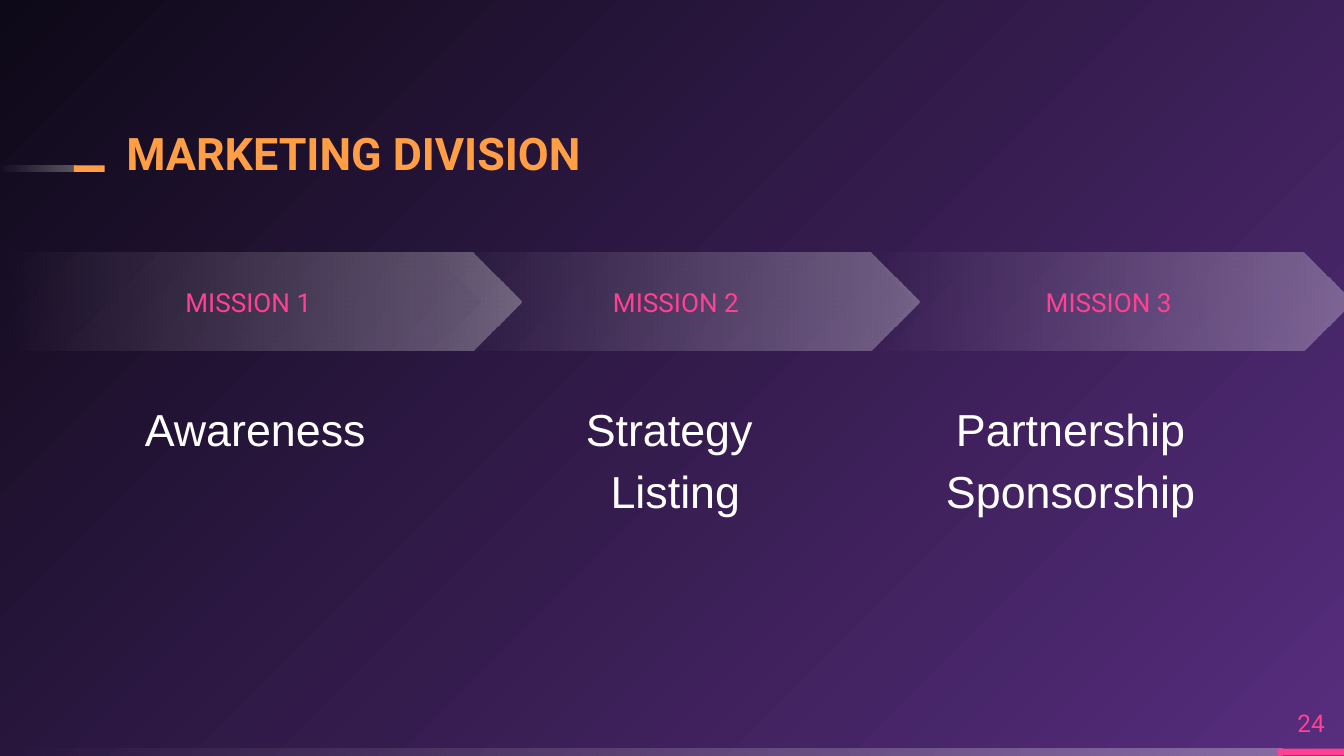
import pptx
import pptx.util
import pptx.dml.color
import pptx.enum.shapes
import pptx.enum.text
import pptx.oxml
import pptx.oxml.ns
from dataclasses import dataclass

Inches = pptx.util.Inches
Kind = pptx.enum.shapes.MSO_SHAPE
Anchor = pptx.enum.text.MSO_ANCHOR
Align = pptx.enum.text.PP_ALIGN


@dataclass
class Theme:
    gold: str = "FF9E44"
    pink: str = "FF4093"
    white: str = "FFFFFF"
    plum: str = "572D7E"
    night: str = "0E0918"
    head: str = "Roboto"
    body: str = "Arial"
    large: int = 24
    label: int = 14
    small: int = 13


theme = Theme()
FADE = [(0, theme.white, 30), (100, theme.white, 0)]
GLOW = [(0, theme.plum, 100), (100, theme.night, 100)]
LEFT = '<a:lin ang="10800000" scaled="0"/>'
CORNER = '<a:path path="circle"><a:fillToRect l="100000" t="100000"/></a:path>'


def blend(fill, root, stops, way):
    fill.gradient()
    old = root.xpath(".//a:gradFill")[0]
    marks = "".join(
        f'<a:gs pos="{pos * 1000}"><a:srgbClr val="{color}">'
        f'<a:alpha val="{alpha * 1000}"/></a:srgbClr></a:gs>'
        for pos, color, alpha in stops)
    new = pptx.oxml.parse_xml(
        f'<a:gradFill {pptx.oxml.ns.nsdecls("a")} rotWithShape="1">'
        f'<a:gsLst>{marks}</a:gsLst>{way}</a:gradFill>')
    old.getparent().replace(old, new)


def write(shape, lines, font, size, color, anchor, inset=0.1, align=Align.CENTER,
          space=1.0, bold=False):
    frame = shape.text_frame
    frame.word_wrap = True
    frame.auto_size = pptx.enum.text.MSO_AUTO_SIZE.NONE
    frame.vertical_anchor = anchor
    frame.margin_left = frame.margin_right = Inches(inset)
    frame.margin_top = frame.margin_bottom = Inches(inset)
    frame.text = "\n".join(lines)
    for para in frame.paragraphs:
        para.alignment = align
        para.line_spacing = space
        para.font.name = font
        para.font.size = pptx.util.Pt(size)
        para.font.bold = bold
        para.font.color.rgb = pptx.dml.color.RGBColor.from_string(color)


deck = pptx.Presentation()
deck.slide_width = Inches(10)
deck.slide_height = Inches(10) * 9 // 16
slide = deck.slides.add_slide(deck.slide_layouts[5])
shapes = slide.shapes
blend(slide.background.fill, slide._element, GLOW, CORNER)

bars = [
    (0, 5.57, 9.54, None),
    (9.51, 5.57, 0.49, theme.pink),
    (0, 1.23, 0.56, None),
    (0.55, 1.23, 0.23, theme.gold),
]
for left, top, width, color in bars:
    bar = shapes.add_shape(Kind.RECTANGLE, Inches(left), Inches(top),
                           Inches(width), Inches(0.05))
    bar.shadow.inherit = False
    bar.line.fill.background()
    if color:
        bar.fill.solid()
        bar.fill.fore_color.rgb = pptx.dml.color.RGBColor.from_string(color)
    else:
        blend(bar.fill, bar._element, FADE, LEFT)

title = shapes.title
title.left, title.top = Inches(0.94), Inches(0.91)
title.width, title.height = Inches(5.8), Inches(0.43)
write(title, ["MARKETING DIVISION"], theme.head, theme.large, theme.gold,
      Anchor.BOTTOM, inset=0, align=Align.LEFT, space=0.9, bold=True)

number = shapes.add_textbox(Inches(9.51), Inches(5.19), Inches(0.49), Inches(0.38))
write(number, ["24"], theme.head, theme.small, theme.pink, Anchor.MIDDLE, inset=0)

steps = [
    ("MISSION 3", Kind.CHEVRON, 6.44, 3.62, 6.74, ["Partnership Sponsorship"]),
    ("MISSION 1", Kind.PENTAGON, 0, 3.88, 0.72, ["Awareness "]),
    ("MISSION 2", Kind.CHEVRON, 3.22, 3.62, 3.8, ["Strategy ", "Listing"]),
]
for name, kind, left, width, start, lines in steps:
    arrow = shapes.add_shape(kind, Inches(left), Inches(1.88),
                             Inches(width), Inches(0.73))
    arrow.adjustments[0] = 0.5
    arrow.shadow.inherit = False
    arrow.line.fill.background()
    blend(arrow.fill, arrow._element, FADE, LEFT)
    write(arrow, [name], theme.head, theme.label, theme.pink, Anchor.MIDDLE)
    note = shapes.add_textbox(Inches(start), Inches(2.83), Inches(2.45), Inches(1.97))
    write(note, lines, theme.body, theme.large, theme.white, Anchor.TOP, space=1.15)

deck.save("out.pptx")
